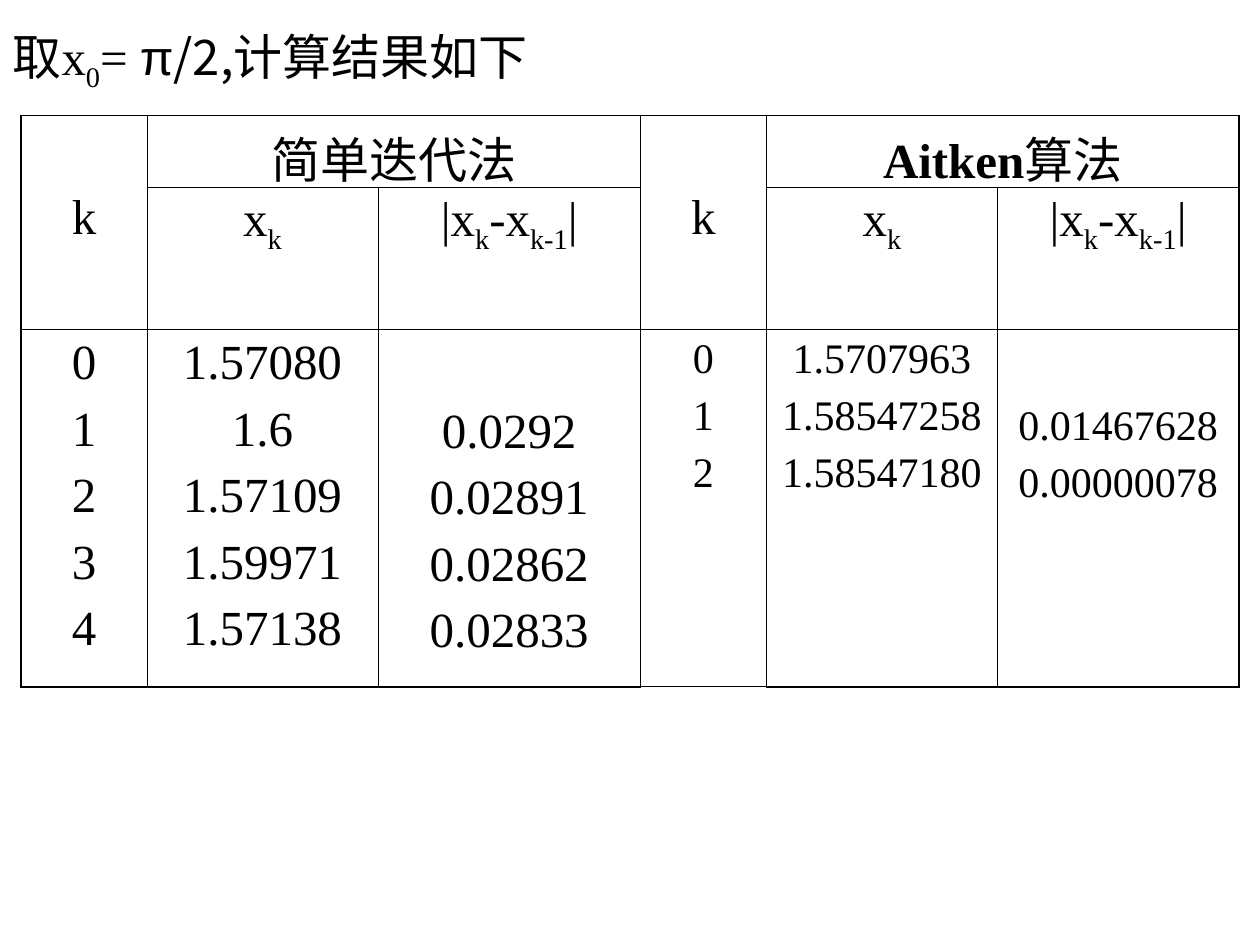
from dataclasses import dataclass

from lxml.etree import SubElement
from pptx import Presentation
from pptx.dml.color import RGBColor
from pptx.enum.text import MSO_ANCHOR, MSO_AUTO_SIZE, PP_ALIGN
from pptx.oxml.ns import qn
from pptx.util import Inches, Pt


@dataclass(frozen=True)
class Theme:
    ink: str = "000000"
    serif: str = "Times New Roman"
    sans: str = "Arial"
    asian: str = "Noto Sans CJK SC"
    large: int = 28
    small: int = 24
    thin: float = 0.45
    thick: float = 1.08


@dataclass(frozen=True)
class Span:
    text: str
    low: bool = False
    bold: bool = False
    font: str = ""


@dataclass(frozen=True)
class Entry:
    """Lines of one table cell; skip leaves the first line's place open."""
    lines: list
    size: int = Theme.large
    skip: bool = False
    across: int = 1
    down: int = 1


class Page:
    GRID = 12  # grid steps per inch: 120 columns by 90 rows
    LINE = 1.15  # line height of the serif face
    INSET = 0.05

    def __init__(self, deck, theme):
        self.theme = theme
        self.slide = deck.slides.add_slide(deck.slide_layouts[5])

    def steps(self, count):
        return Inches(count / self.GRID)

    def add_spans(self, para, spans, size):
        font = para.font
        font.size = Pt(size)
        font.bold = False
        font.color.rgb = RGBColor.from_string(self.theme.ink)
        font.name = self.theme.serif
        SubElement(font._element, qn("a:ea"), typeface=self.theme.asian)
        for part in spans:
            span = para.add_run()
            span.text = part.text
            if part.low:
                span._r.get_or_add_rPr().set("baseline", "-25000")
            if part.bold:
                span.font.bold = True
            if part.font:
                span.font.name = part.font

    def title(self, spans, left, top, width, height):
        box = self.slide.shapes.title
        box.left, box.top = self.steps(left), self.steps(top)
        box.width, box.height = self.steps(width), self.steps(height)
        frame = box.text_frame
        frame.word_wrap = True
        frame.auto_size = MSO_AUTO_SIZE.SHAPE_TO_FIT_TEXT
        frame.vertical_anchor = MSO_ANCHOR.TOP
        para = frame.paragraphs[0]
        para.alignment = PP_ALIGN.LEFT
        para.line_spacing = 0.9
        para.space_before = Pt(0)
        self.add_spans(para, spans, self.theme.large)

    def table(self, entries, left, top, widths, heights):
        frame = self.slide.shapes.add_table(
            len(heights), len(widths), self.steps(left), self.steps(top),
            self.steps(sum(widths)), self.steps(sum(heights)))
        table = frame.table
        table.first_row = table.horz_banding = False
        for column, width in zip(table.columns, widths):
            column.width = self.steps(width)
        for row, height in zip(table.rows, heights):
            row.height = self.steps(height)
        for (row, column), entry in entries.items():
            cell = table.cell(row, column)
            if entry.across * entry.down > 1:
                cell.merge(table.cell(row + entry.down - 1, column + entry.across - 1))
            self.fill_cell(cell, entry)
        # Heavy frame, except below the second index column
        last_row, last_column = len(heights) - 1, len(widths) - 1
        for row in range(len(heights)):
            for column in range(len(widths)):
                cell = table.cell(row, column)
                self.borders(cell, {
                    "L": column == 0,
                    "R": column + cell.span_width - 1 == last_column
                    or column == last_column,
                    "T": row == 0,
                    "B": row == last_row and column != 3})
                cell.fill.background()

    def fill_cell(self, cell, entry):
        gap = entry.size / 4
        if entry.skip:
            open_line = self.theme.large * self.LINE + gap
            cell.margin_top = Inches(self.INSET) + Pt(open_line)
        frame = cell.text_frame
        for index, spans in enumerate(entry.lines):
            para = frame.add_paragraph() if index else frame.paragraphs[0]
            para.alignment = PP_ALIGN.CENTER
            para.space_before = Pt(gap if index else 0)
            self.add_spans(para, spans, entry.size)

    def borders(self, cell, heavy_sides):
        properties = cell._tc.get_or_add_tcPr()
        for side, heavy in heavy_sides.items():
            width = self.theme.thick if heavy else self.theme.thin
            line = SubElement(properties, qn(f"a:ln{side}"), w=str(int(Pt(width))))
            fill = SubElement(line, qn("a:solidFill"))
            SubElement(fill, qn("a:srgbClr"), val=self.theme.ink)


def plain(*texts):
    return [[Span(text)] for text in texts]


def main():
    theme = Theme()
    deck = Presentation()
    deck.slide_width, deck.slide_height = Inches(10), Inches(7.5)
    page = Page(deck, theme)

    # Starting value
    page.title([Span("取x"), Span("0", low=True), Span("= "),
                Span("π", font=theme.sans),
                Span("/2,计算结果如下", font=theme.asian)], 0, 2, 120, 7)

    # Headings, shared by both methods
    iterate = [[Span("x"), Span("k", low=True)]]
    change = [[Span("|x"), Span("k", low=True), Span("-x"),
               Span("k-1", low=True), Span("|")]]
    methods = [[Span("简单迭代法")], [Span("Aitken", bold=True), Span("算法")]]
    entries = {}
    for start, method in zip((0, 3), methods):
        entries[0, start] = Entry(plain("k"), skip=True, down=2)
        entries[0, start + 1] = Entry([method], across=2)
        entries[1, start + 1] = Entry(iterate)
        entries[1, start + 2] = Entry(change)

    # Results of each method: index, iterate, change
    results = [
        (theme.large, ("0", "1", "2", "3", "4"),
         ("1.57080", "1.6", "1.57109", "1.59971", "1.57138"),
         ("0.0292", "0.02891", "0.02862", "0.02833")),
        (theme.small, ("0", "1", "2"),
         ("1.5707963", "1.58547258", "1.58547180"),
         ("0.01467628", "0.00000078")),
    ]
    for start, (size, *columns) in zip((0, 3), results):
        for offset, values in enumerate(columns):
            entries[2, start + offset] = Entry(plain(*values), size, skip=offset == 2)

    page.table(entries, 2, 11, (12, 22, 25, 12, 22, 23), (6.8, 13.6, 34))
    deck.save("out.pptx")


if __name__ == "__main__":
    main()
